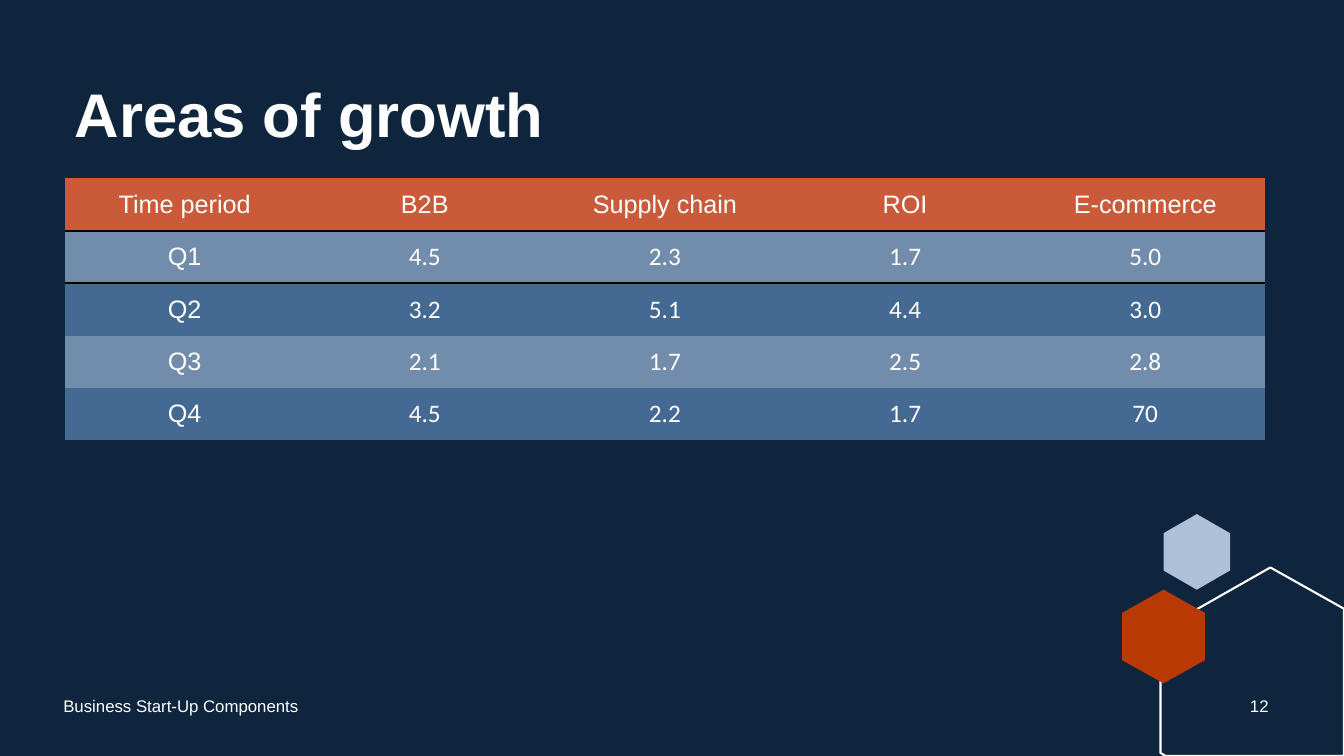
from pptx import Presentation
from pptx.dml.color import RGBColor
from pptx.enum.text import MSO_ANCHOR as Anchor, PP_ALIGN as Align
from pptx.oxml import parse_xml
from pptx.oxml.ns import nsdecls, qn
from pptx.util import Inches, Pt

NAVY = RGBColor(0x0F, 0x25, 0x3E)
WHITE = RGBColor(0xFF, 0xFF, 0xFF)
PALE = RGBColor(0xAE, 0xC1, 0xD8)
RUST = RGBColor(0xB8, 0x39, 0x03)
CORAL = RGBColor(0xC9, 0x5B, 0x3A)
STEEL = RGBColor(0x72, 0x8D, 0xAB)
BLUE = RGBColor(0x44, 0x69, 0x92)
NO_GRID = "{2D5ABB26-0587-4C30-8999-92F81FD0307C}"


def add_run(para, text, size, font="Arial", bold=False):
    run = para.add_run()
    run.text = text
    run.font.size = Pt(size)
    run.font.name = font
    run.font.bold = bold
    run.font.color.rgb = WHITE


def add_rule(cell, side):
    props = cell.fill._xPr
    props.insert(0, parse_xml(
        f'<a:{side} {nsdecls("a")} w="19050"><a:solidFill>'
        f'<a:srgbClr val="000000"/></a:solidFill></a:{side}>'))


deck = Presentation()
deck.slide_width = Inches(13.33)
deck.slide_height = Inches(7.5)
slide = deck.slides.add_slide(deck.slide_layouts[5])
slide.background.fill.solid()
slide.background.fill.fore_color.rgb = NAVY

shapes = [
    ([(11.87, 5.1), (12.2, 5.29), (12.2, 5.66), (11.87, 5.85),
      (11.54, 5.66), (11.54, 5.29)], PALE),
    ([(12.6, 5.63), (13.33, 6.04), (13.33, 7.5), (11.56, 7.5),
      (11.51, 7.47), (11.51, 6.25)], None),
    ([(11.54, 5.85), (11.95, 6.08), (11.95, 6.55), (11.54, 6.78),
      (11.13, 6.55), (11.13, 6.08)], RUST),
]
for points, color in shapes:
    first, *rest = [(Inches(x), Inches(y)) for x, y in points]
    pen = slide.shapes.build_freeform(*first)
    pen.add_line_segments(rest, close=True)
    hexagon = pen.convert_to_shape()
    hexagon.shadow.inherit = False
    if color:
        hexagon.fill.solid()
        hexagon.fill.fore_color.rgb = color
        hexagon.line.fill.background()
    else:
        hexagon.fill.background()
        hexagon.line.color.rgb = WHITE
        hexagon.line.width = Pt(1.5)

title = slide.shapes.title
title.left, title.top = Inches(0.64), Inches(0.79)
title.width, title.height = Inches(11.91), Inches(1.55)
title.text_frame.vertical_anchor = Anchor.TOP
para = title.text_frame.paragraphs[0]
para.alignment = Align.LEFT
para.line_spacing = 0.9
add_run(para, "Areas of growth", 44, bold=True)

rows = [
    ["Time period", "B2B", "Supply chain", "ROI", "E-commerce"],
    ["Q1", "4.5", "2.3", "1.7", "5.0"],
    ["Q2", "3.2", "5.1", "4.4", "3.0"],
    ["Q3", "2.1", "1.7", "2.5", "2.8"],
    ["Q4", "4.5", "2.2", "1.7", "70"],
]
frame = slide.shapes.add_table(len(rows), len(rows[0]), Inches(0.64),
                               Inches(1.77), Inches(11.91), Inches(2.6))
frame.element.find(".//" + qn("a:tableStyleId")).text = NO_GRID
table = frame.table
for r, row in enumerate(rows):
    for c, text in enumerate(row):
        cell = table.cell(r, c)
        cell.vertical_anchor = Anchor.MIDDLE
        cell.fill.solid()
        cell.fill.fore_color.rgb = CORAL if r == 0 else STEEL if r % 2 else BLUE
        if r < 2:
            add_rule(cell, "lnT" if r else "lnB")
        para = cell.text_frame.paragraphs[0]
        para.alignment = Align.CENTER
        add_run(para, text, 18, "Calibri" if r and c else "Arial")

for text, left, width, align in [
    ("12", 12.24, 0.5, Align.CENTER),
    ("Business Start-Up Components", 0.53, 4.5, Align.LEFT),
]:
    box = slide.shapes.add_textbox(Inches(left), Inches(6.8),
                                   Inches(width), Inches(0.4))
    box.text_frame.word_wrap = True
    box.text_frame.vertical_anchor = Anchor.MIDDLE
    para = box.text_frame.paragraphs[0]
    para.alignment = align
    add_run(para, text, 12)

deck.save("out.pptx")
